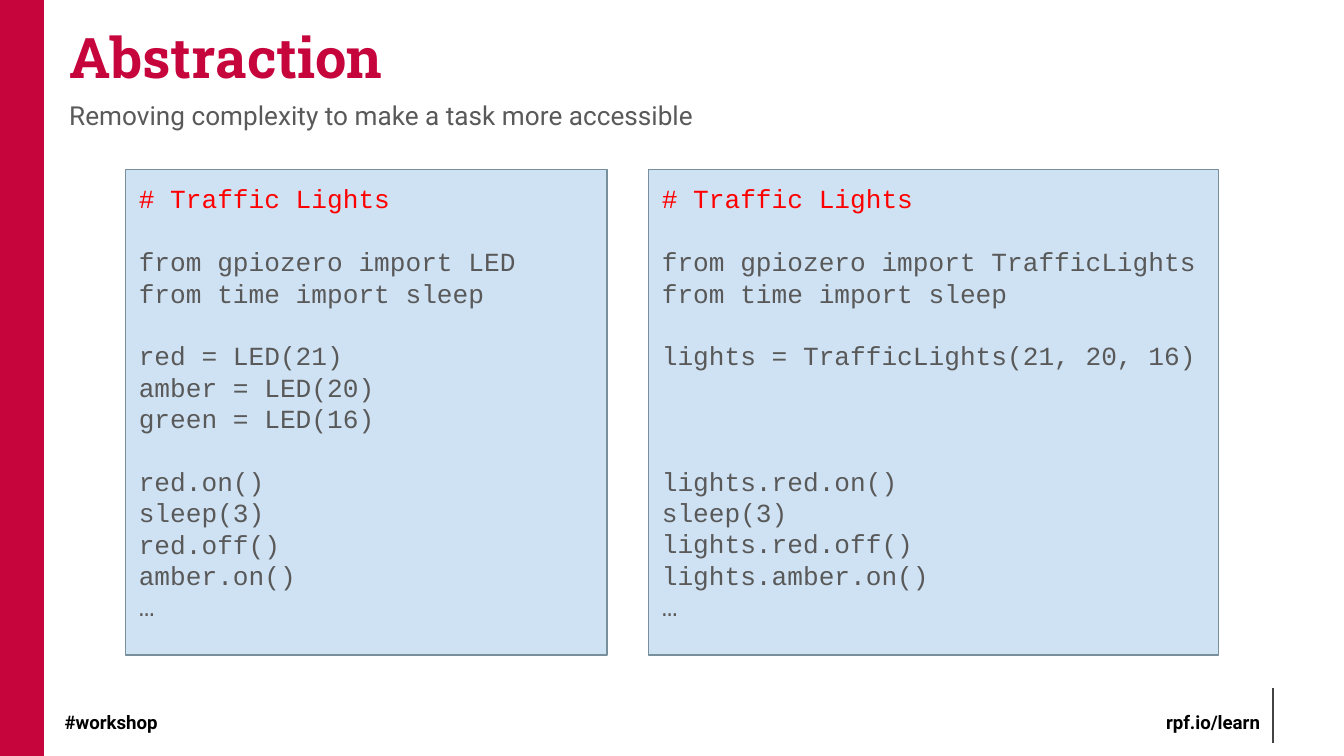
from lxml.etree import SubElement
from pptx import Presentation
from pptx.dml.color import RGBColor
from pptx.enum.shapes import MSO_CONNECTOR, MSO_SHAPE
from pptx.enum.text import MSO_ANCHOR, PP_ALIGN
from pptx.oxml.ns import qn
from pptx.util import Pt

CRIMSON = RGBColor(0xC7, 0x05, 0x3D)
DARK = RGBColor(0x43, 0x43, 0x43)
GREY = RGBColor(0x59, 0x59, 0x59)
BLACK = RGBColor(0, 0, 0)
RED = RGBColor(0xFF, 0, 0)
PALE_BLUE = RGBColor(0xCF, 0xE2, 0xF3)
SLATE = RGBColor(0x78, 0x90, 0x9C)
LINE_PITCH = 16.8

prs = Presentation()
prs.slide_width, prs.slide_height = Pt(720), Pt(405)
s = prs.slides.add_slide(prs.slide_layouts[6])


def add_rect(x, y, w, h, fill, line):
    sp = s.shapes.add_shape(MSO_SHAPE.RECTANGLE, Pt(x), Pt(y), Pt(w), Pt(h))
    sp.shadow.inherit = False
    sp.fill.solid()
    sp.fill.fore_color.rgb = fill
    sp.line.color.rgb = line
    sp.line.width = Pt(0.75)
    return sp


def add_lines(sp, lines, align=PP_ALIGN.LEFT, pitch=None):
    tf = sp.text_frame
    frame = dict(word_wrap=True, vertical_anchor=MSO_ANCHOR.TOP, margin_left=Pt(7.2),
                 margin_right=Pt(7.2), margin_top=Pt(7.2), margin_bottom=Pt(7.2))
    for name, value in frame.items():
        setattr(tf, name, value)
    gap = 0
    p = tf.paragraphs[0]
    for i, (text, color, font) in enumerate(lines):
        if not text:
            gap += pitch
            continue
        if i:
            p = tf.add_paragraph()
        p.alignment = align
        p.space_before = Pt(gap)
        if pitch:
            p.line_spacing = Pt(pitch)
        gap = 0
        r = p.add_run()
        r.text = text
        for name, value in font.items():
            setattr(r.font, name, value)
        r.font.color.rgb = color


add_rect(-1.3, 0, 24.7, 405, CRIMSON, CRIMSON)

cx = s.shapes.add_connector(MSO_CONNECTOR.STRAIGHT, Pt(682), Pt(368.5), Pt(682), Pt(398))
cx.line.color.rgb = DARK
cx.line.width = Pt(1.5)
SubElement(cx._element.spPr, qn("a:effectLst"))

footer = dict(name="Roboto", size=Pt(10), bold=True)
title = dict(name="Roboto Slab", size=Pt(30), bold=True)
subtitle = dict(name="Roboto", size=Pt(14))
code = dict(name="Courier New", size=Pt(14))

for text, x, y, w, h, color, font, align in [
    ("#workshop", 27.5, 375, 126, 23, BLACK, footer, PP_ALIGN.LEFT),
    ("rpf.io/learn", 556, 375, 126, 23, BLACK, footer, PP_ALIGN.RIGHT),
    ("Abstraction", 30, 5, 683, 37.5, CRIMSON, title, PP_ALIGN.LEFT),
    ("Removing complexity to make a task more accessible",
     30, 46, 576, 313, GREY, subtitle, PP_ALIGN.LEFT),
]:
    sp = s.shapes.add_textbox(Pt(x), Pt(y), Pt(w), Pt(h))
    add_lines(sp, [(text, color, font)], align)

led_code = """# Traffic Lights

from gpiozero import LED
from time import sleep

red = LED(21)
amber = LED(20)
green = LED(16)

red.on()
sleep(3)
red.off()
amber.on()
…"""

lights_code = """# Traffic Lights

from gpiozero import TrafficLights
from time import sleep

lights = TrafficLights(21, 20, 16)



lights.red.on()
sleep(3)
lights.red.off()
lights.amber.on()
…"""

for x, w, listing in [(67.3, 258, led_code), (347.5, 305.3, lights_code)]:
    sp = add_rect(x, 90.7, w, 260.3, PALE_BLUE, SLATE)
    lines = [(text, RED if text.startswith("#") else GREY, code)
             for text in listing.splitlines()]
    add_lines(sp, lines, pitch=LINE_PITCH)

prs.save("out.pptx")
